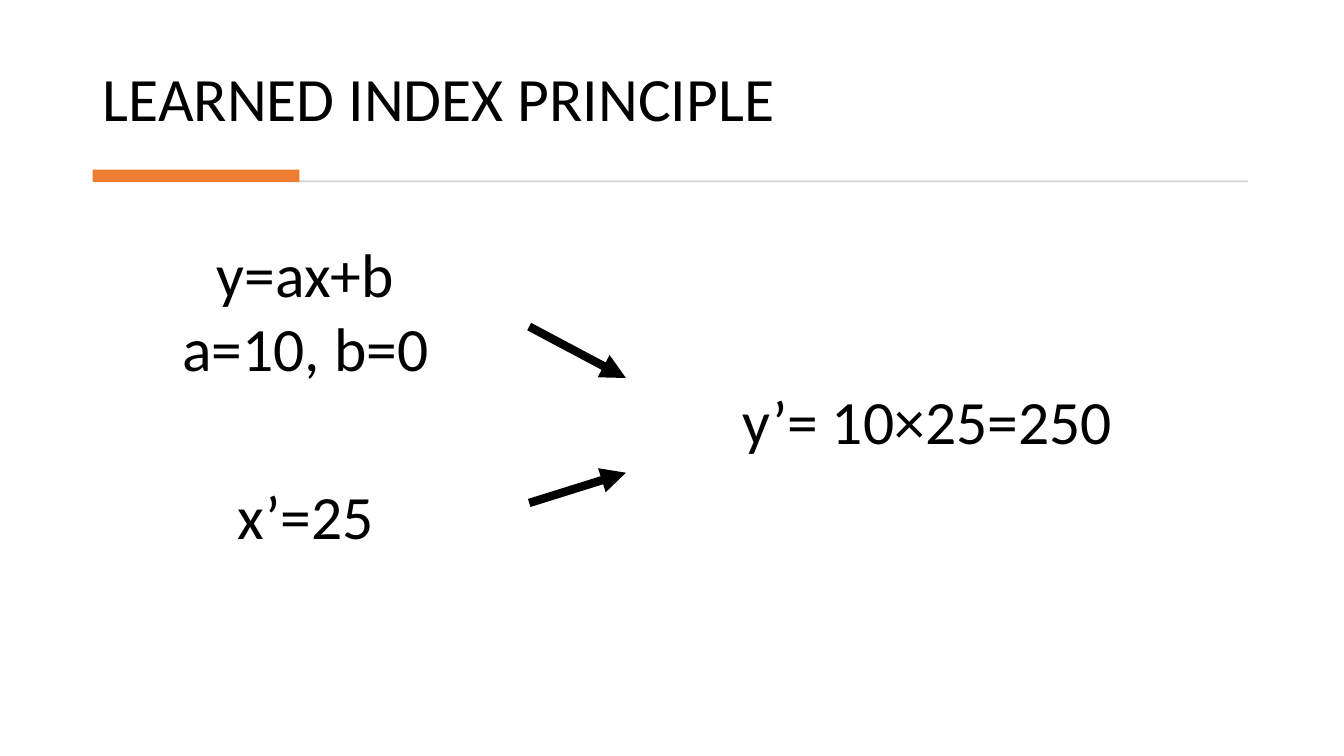
from lxml import etree
from pptx import Presentation
from pptx.dml.color import RGBColor
from pptx.enum.shapes import MSO_CONNECTOR, MSO_SHAPE
from pptx.enum.text import MSO_ANCHOR, MSO_AUTO_SIZE, PP_ALIGN
from pptx.oxml.ns import qn
from pptx.util import Pt

COLORS = {"text": "000000", "rule": "D5D5D5", "accent": "ED7D31"}


class SlideBuilder:
    """Holds the text style and the current slide."""

    font_name = "Calibri"
    font_size = 44

    def __init__(self, slide):
        self.slide = slide

    def color(self, name):
        return RGBColor.from_string(COLORS[name])

    def place(self, shape, left, top, width, height):
        shape.left, shape.top = Pt(left), Pt(top)
        shape.width, shape.height = Pt(width), Pt(height)

    def set_text(self, frame, lines, alignment):
        frame.text = "\n".join(lines)
        for paragraph in frame.paragraphs:
            paragraph.alignment = alignment
            paragraph.font.name = self.font_name
            paragraph.font.size = Pt(self.font_size)
            paragraph.font.color.rgb = self.color("text")

    def title(self, text, *box):
        shape = self.slide.shapes.title
        self.place(shape, *box)
        frame = shape.text_frame
        self.set_text(frame, [text], PP_ALIGN.LEFT)
        frame.vertical_anchor = MSO_ANCHOR.BOTTOM
        frame.auto_size = MSO_AUTO_SIZE.NONE
        frame.paragraphs[0].line_spacing = 0.9

    def bar(self, color, left, top, width, height):
        shape = self.slide.shapes.add_shape(
            MSO_SHAPE.RECTANGLE, Pt(left), Pt(top), Pt(width), Pt(height))
        shape.shadow.inherit = False
        shape.fill.solid()
        shape.fill.fore_color.rgb = self.color(color)
        shape.line.fill.background()

    def formula(self, lines, left, top, width, height):
        box = self.slide.shapes.add_textbox(
            Pt(left), Pt(top), Pt(width), Pt(height))
        frame = box.text_frame
        self.set_text(frame, lines, PP_ALIGN.CENTER)
        frame.word_wrap = False
        frame.auto_size = MSO_AUTO_SIZE.SHAPE_TO_FIT_TEXT

    def arrow(self, start_x, start_y, end_x, end_y):
        connector = self.slide.shapes.add_connector(
            MSO_CONNECTOR.STRAIGHT,
            Pt(start_x), Pt(start_y), Pt(end_x), Pt(end_y))
        connector.line.color.rgb = self.color("text")
        connector.line.width = Pt(6)
        properties = connector._element.spPr
        outline = properties.find(qn("a:ln"))
        etree.SubElement(outline, qn("a:tailEnd"), type="triangle")
        etree.SubElement(properties, qn("a:effectLst"))


def main():
    presentation = Presentation()
    presentation.slide_width, presentation.slide_height = Pt(960), Pt(540)
    slide = presentation.slides.add_slide(presentation.slide_layouts[5])
    builder = SlideBuilder(slide)

    builder.title("LEARNED INDEX PRINCIPLE", 66.24, 20.16, 827.28, 79.92)
    builder.bar("rule", 68.4, 128.88, 822.96, 1.44)
    builder.bar("accent", 66.24, 121.2, 147.6, 8.64)

    builder.formula(["y=ax+b", "a=10, b=0"], 121.68, 164.88, 192.96, 113.76)
    builder.formula(["x’=25"], 121.68, 337.68, 192.96, 60.48)
    builder.formula(["y’= 10×25=250"], 509.04, 270, 306.72, 60.48)

    for start_y, end_y in [(233.28, 270), (359.28, 337.68)]:
        builder.arrow(378, start_y, 447.12, end_y)

    presentation.save("out.pptx")


if __name__ == "__main__":
    main()
